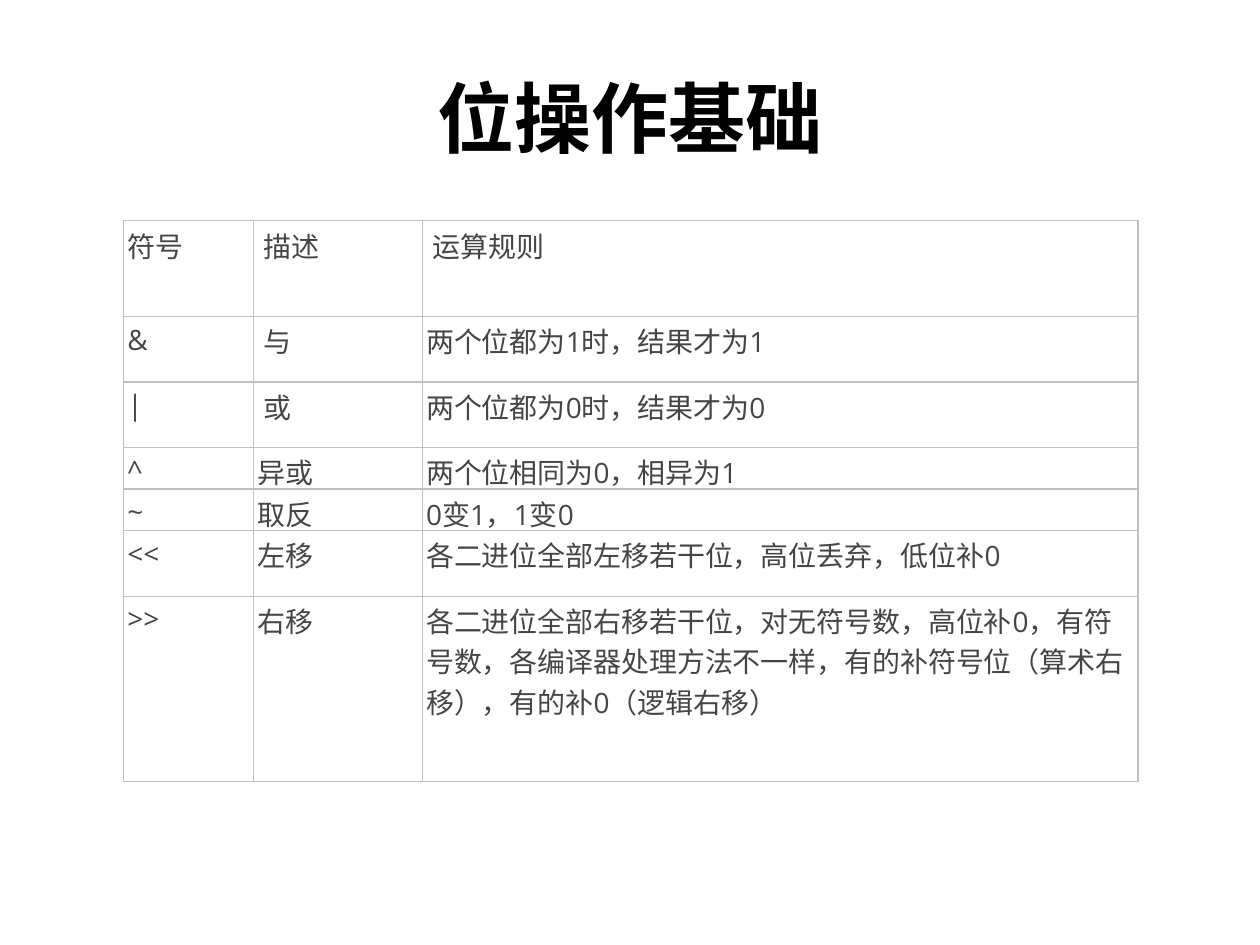
from lxml.etree import SubElement
from pptx import Presentation
from pptx.dml.color import RGBColor
from pptx.enum.text import MSO_ANCHOR, PP_ALIGN
from pptx.oxml.ns import qn
from pptx.util import Cm, Pt

COLUMN_WIDTHS = [2.62, 3.4, 14.43]
ROW_HEIGHTS = [1.93, 1.32, 1.32, 0.74, 0.74, 1.32, 3.73]
OPERATORS = [
    ("符号", "\u00a0描述", "\u00a0运算规则"),
    ("&", "\u00a0与", "两个位都为1时，结果才为1"),
    ("|", "\u00a0或", "两个位都为0时，结果才为0"),
    ("^", "异或", "两个位相同为0，相异为1"),
    ("~", "取反", "0变1，1变0"),
    ("<<", "左移", "各二进位全部左移若干位，高位丢弃，低位补0"),
    (">>", "右移", "各二进位全部右移若干位，对无符号数，高位补0，有符号数，"
     "各编译器处理方法不一样，有的补符号位（算术右移），有的补0（逻辑右移）"),
]


def color(value):
    """Return the colour for a hex string."""
    return RGBColor.from_string(value)


def set_font(p, name, size, value, bold=False):
    """Set the font of a paragraph."""
    p.font.name = name
    p.font.size = Pt(size)
    p.font.bold = bold
    p.font.color.rgb = color(value)


def add_title(s, text):
    """Add the centred slide title."""
    sp = s.shapes.add_textbox(Cm(1.27), Cm(0.76), Cm(22.86), Cm(3.18))
    tf = sp.text_frame
    tf.word_wrap = True
    tf.vertical_anchor = MSO_ANCHOR.MIDDLE
    p = tf.paragraphs[0]
    p.text = text
    p.alignment = PP_ALIGN.CENTER
    set_font(p, "Calibri", 44, "000000", bold=True)


def set_borders(cell, value, width):
    """Draw a solid line on all four sides of a cell."""
    tc_pr = cell._tc.get_or_add_tcPr()
    for side in ("a:lnL", "a:lnR", "a:lnT", "a:lnB"):
        ln = SubElement(tc_pr, qn(side), w=str(Pt(width)))
        fill = SubElement(ln, qn("a:solidFill"))
        SubElement(fill, qn("a:srgbClr"), val=value)


def fill_cell(cell, text):
    """Write and format one table cell."""
    cell.margin_left = cell.margin_right = Cm(0.08)
    cell.margin_top = cell.margin_bottom = Cm(0.08)
    set_borders(cell, "C0C0C0", 0.75)
    cell.fill.solid()
    cell.fill.fore_color.rgb = color("FFFFFF")
    p = cell.text_frame.paragraphs[0]
    p.text = text
    set_font(p, "Open Sans", 16, "454545")


def add_operator_table(s):
    """Add the table of bitwise operators."""
    sp = s.shapes.add_table(
        len(ROW_HEIGHTS), len(COLUMN_WIDTHS), Cm(2.49), Cm(4.45),
        Cm(sum(COLUMN_WIDTHS)), Cm(sum(ROW_HEIGHTS)))
    table = sp.table
    table.first_row = table.horz_banding = False
    for column, width in zip(table.columns, COLUMN_WIDTHS):
        column.width = Cm(width)
    for row, height, texts in zip(table.rows, ROW_HEIGHTS, OPERATORS):
        row.height = Cm(height)
        for cell, text in zip(row.cells, texts):
            fill_cell(cell, text)


def main():
    """Build and save the slide."""
    prs = Presentation()
    prs.slide_width, prs.slide_height = Cm(25.4), Cm(19.05)
    s = prs.slides.add_slide(prs.slide_layouts[6])
    add_title(s, "位操作基础")
    add_operator_table(s)
    prs.save("out.pptx")


main()
